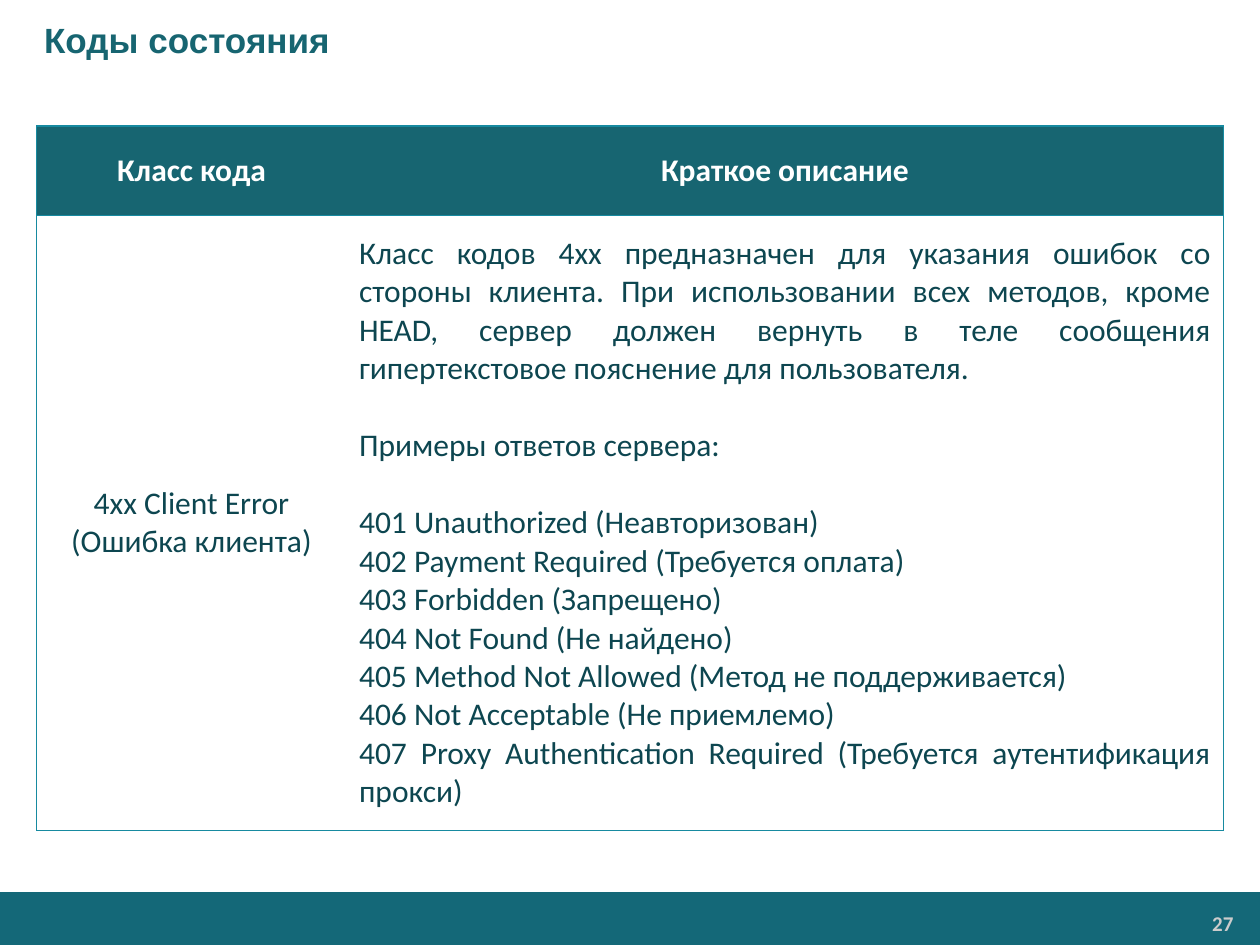
from lxml.etree import SubElement
from pptx import Presentation
from pptx.dml.color import RGBColor
from pptx.enum.shapes import MSO_SHAPE
from pptx.enum.text import MSO_ANCHOR, PP_ALIGN
from pptx.oxml.ns import qn
from pptx.util import Inches, Pt

WIDTH, HEIGHT = 10, 7.5
COLUMN_WIDTHS = [2.46, 6.96]
ROW_HEIGHTS = [0.71, 4.88]
TEAL, BORDER, BODY, WHITE = "176571", "178AA0", "0D4650", "FFFFFF"
LINE_GAP = 22

HEADINGS = ["Класс кода", "Краткое описание"]
CODE_CLASS = "4xx Client Error (Ошибка клиента)"
SUMMARY = (
    "Класс кодов 4xx предназначен для указания ошибок со стороны клиента. "
    "При использовании всех методов, кроме HEAD, сервер должен вернуть "
    "в теле сообщения гипертекстовое пояснение для пользователя."
)
EXAMPLES_INTRO = "Примеры ответов сервера:"
EXAMPLES = [
    "401 Unauthorized (Неавторизован)",
    "402 Payment Required (Требуется оплата)",
    "403 Forbidden (Запрещено)",
    "404 Not Found (Не найдено)",
    "405 Method Not Allowed (Метод не поддерживается)",
    "406 Not Acceptable (Не приемлемо)",
    "407 Proxy Authentication Required (Требуется аутентификация прокси)",
]


def rgb(value):
    return RGBColor.from_string(value)


def write(frame, lines, size=18, color=BODY, bold=False, font="Calibri",
          align=PP_ALIGN.LEFT, gaps_before=()):
    """Write one paragraph per line; gaps_before lists lines set off by a gap."""
    for index, line in enumerate(lines):
        paragraph = frame.paragraphs[0] if index == 0 else frame.add_paragraph()
        paragraph.alignment = align
        paragraph.space_before = Pt(LINE_GAP if index in gaps_before else 0)
        run = paragraph.add_run()
        run.text = line
        run.font.size = Pt(size)
        run.font.name = font
        run.font.bold = bold
        run.font.color.rgb = rgb(color)


def set_borders(cell, visible_sides):
    """Draw the given sides (L, R, T, B) and hide the others."""
    properties = cell._tc.get_or_add_tcPr()
    for position, side in enumerate("LRTB"):
        line = properties.makeelement(qn(f"a:ln{side}"), {"w": str(Pt(0.75))})
        properties.insert(position, line)
        if side in visible_sides:
            fill = SubElement(line, qn("a:solidFill"))
            SubElement(fill, qn("a:srgbClr"), val=BORDER)
        else:
            SubElement(line, qn("a:noFill"))


def add_title(slide, text):
    title = slide.shapes.title
    title.left, title.top = 0, 0
    title.width, title.height = Inches(WIDTH), Inches(0.63)
    frame = title.text_frame
    frame.margin_left = Inches(0.35)
    frame.vertical_anchor = MSO_ANCHOR.MIDDLE
    write(frame, [text], size=20, color=TEAL, bold=True, font="Arial")


def add_footer(slide, number):
    band = slide.shapes.add_shape(
        MSO_SHAPE.RECTANGLE, 0, Inches(7.08), Inches(WIDTH), Inches(HEIGHT - 7.08))
    band.shadow.inherit = False
    band.fill.solid()
    band.fill.fore_color.rgb = rgb("146878")
    band.line.fill.background()

    page = slide.shapes.add_textbox(
        Inches(8.23), Inches(7.19), Inches(1.63), Inches(0.28))
    frame = page.text_frame
    frame.word_wrap = True
    frame.margin_left = frame.margin_right = Inches(0.07)
    frame.margin_top = frame.margin_bottom = Inches(0.04)
    write(frame, [number], size=12, color="CCCCCC", bold=True, align=PP_ALIGN.RIGHT)


def add_codes_table(slide):
    table = slide.shapes.add_table(
        len(ROW_HEIGHTS), len(COLUMN_WIDTHS), Inches(0.29), Inches(1),
        Inches(sum(COLUMN_WIDTHS)), Inches(sum(ROW_HEIGHTS))).table
    table.horz_banding = False
    for column, width in zip(table.columns, COLUMN_WIDTHS):
        column.width = Inches(width)
    for row, height in zip(table.rows, ROW_HEIGHTS):
        row.height = Inches(height)

    for row_index, row in enumerate(table.rows):
        for column_index, cell in enumerate(row.cells):
            cell.vertical_anchor = MSO_ANCHOR.MIDDLE
            cell.fill.solid()
            cell.fill.fore_color.rgb = rgb(WHITE if row_index else TEAL)
            set_borders(cell, "TB" + "LR"[column_index])

    for cell, heading in zip(table.rows[0].cells, HEADINGS):
        write(cell.text_frame, [heading], color=WHITE, bold=True,
              align=PP_ALIGN.CENTER)
    write(table.cell(1, 0).text_frame, [CODE_CLASS], align=PP_ALIGN.CENTER)
    write(table.cell(1, 1).text_frame, [SUMMARY, EXAMPLES_INTRO, *EXAMPLES],
          align=PP_ALIGN.JUSTIFY, gaps_before=(1, 2))


def main():
    presentation = Presentation()
    presentation.slide_width = Inches(WIDTH)
    presentation.slide_height = Inches(HEIGHT)
    slide = presentation.slides.add_slide(presentation.slide_layouts[5])
    add_footer(slide, "27")
    add_title(slide, "Коды состояния")
    add_codes_table(slide)
    presentation.save("out.pptx")


if __name__ == "__main__":
    main()
